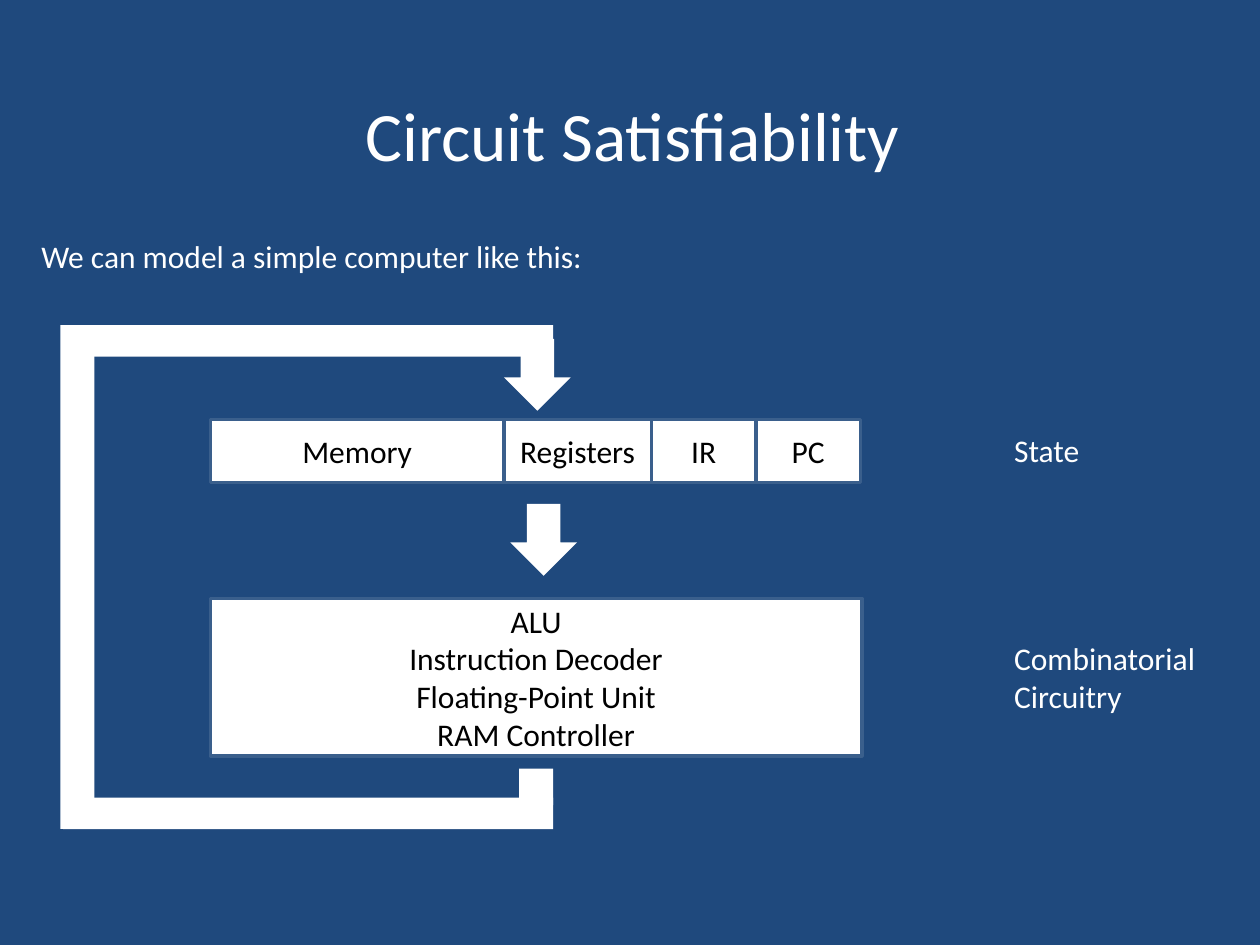
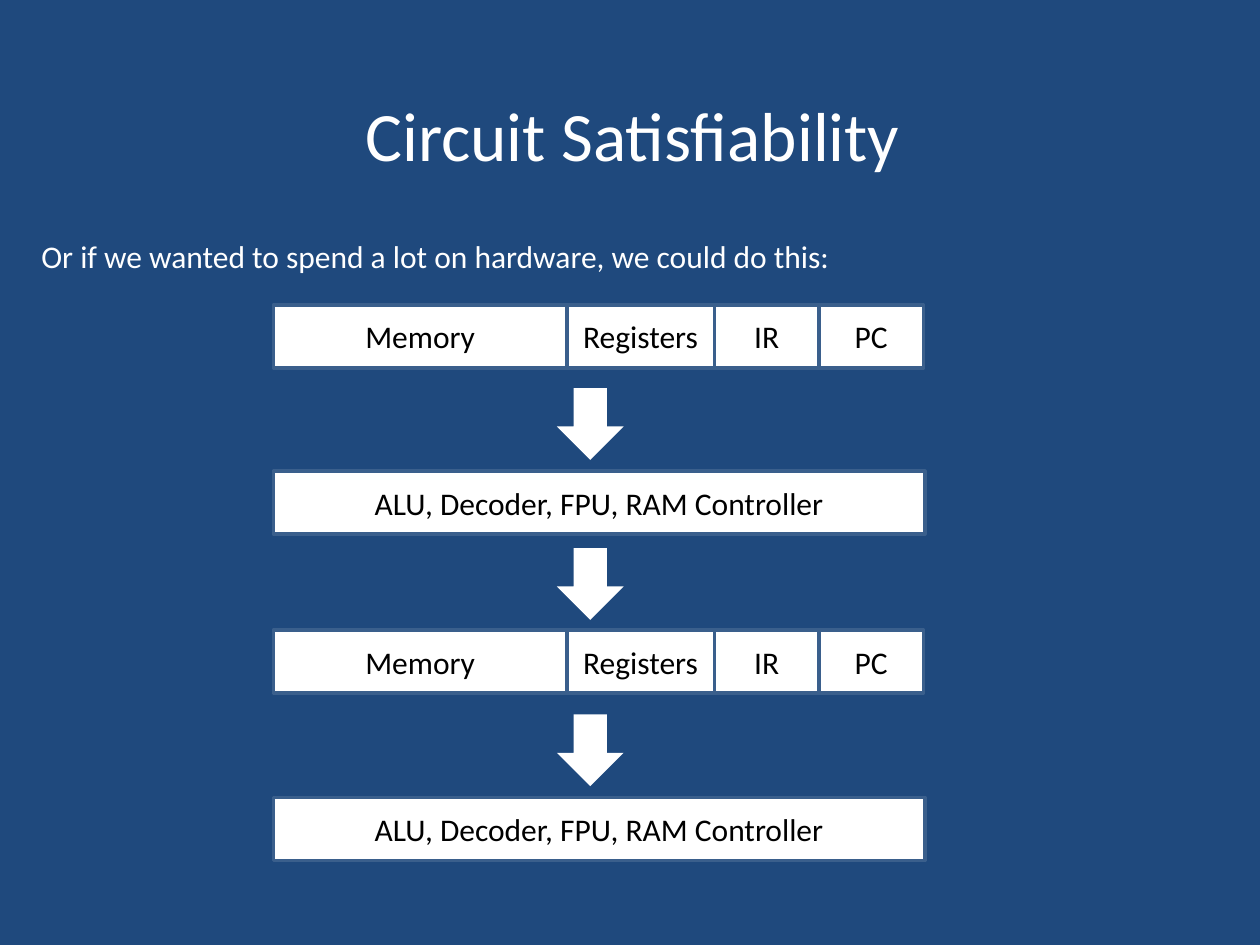
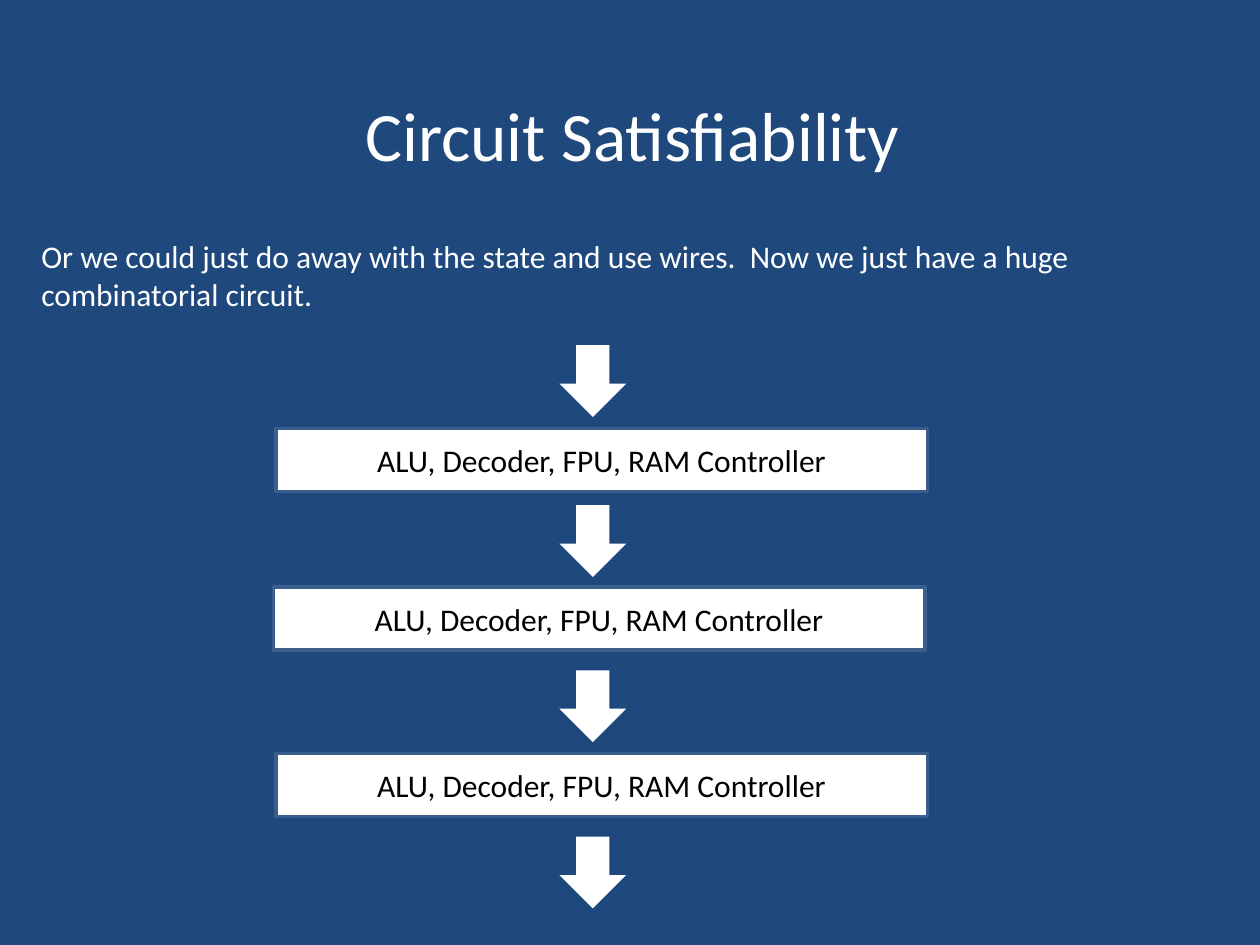
from pptx import Presentation
from pptx.dml.color import RGBColor
from pptx.enum.shapes import MSO_SHAPE
from pptx.enum.text import MSO_ANCHOR, MSO_AUTO_SIZE, PP_ALIGN
from pptx.util import Inches, Pt

NAVY = RGBColor(0x1F, 0x49, 0x7D)
STEEL = RGBColor(0x3A, 0x5F, 0x8C)
WHITE = RGBColor(0xFF, 0xFF, 0xFF)
BLACK = RGBColor(0x00, 0x00, 0x00)

RECT = MSO_SHAPE.RECTANGLE
DOWN_ARROW = MSO_SHAPE.DOWN_ARROW
MIDDLE = MSO_ANCHOR.MIDDLE
CENTER = PP_ALIGN.CENTER
LEFT = PP_ALIGN.LEFT
FIT_SHAPE = MSO_AUTO_SIZE.SHAPE_TO_FIT_TEXT

FONT = "Calibri"
TITLE = "Circuit Satisfiability"
LOGIC = "ALU, Decoder, FPU, RAM Controller"
LOGIC_PARTS = "ALU\nInstruction Decoder\nFloating-Point Unit\nRAM Controller"
STATE = [("Memory", 2.33), ("Registers", 1.17), ("IR", 0.83), ("PC", 0.83)]
LOGIC_W = 5.17
BOX_H = 0.5


def place(sp, x, y, w, h):
    sp.left, sp.top = Inches(x), Inches(y)
    sp.width, sp.height = Inches(w), Inches(h)


def write(tf, text, size, color, align):
    tf.text = text
    for p in tf.paragraphs:
        p.alignment = align
        for r in p.runs:
            r.font.name = FONT
            r.font.size = Pt(size)
            r.font.color.rgb = color


def add_slide(prs, intro, intro_h=0.4):
    s = prs.slides.add_slide(prs.slide_layouts[5])
    title = s.shapes.title
    place(title, 0.52, 0.67, 9, 0.78)
    title.text_frame.vertical_anchor = MIDDLE
    write(title.text_frame, TITLE, 39.6, WHITE, CENTER)
    add_label(s, intro, 0.23, 1.83, 9.58, intro_h, True)
    return s


def add_label(s, text, x, y, w, h, wrap=False):
    sp = s.shapes.add_textbox(Inches(x), Inches(y), Inches(w), Inches(h))
    tf = sp.text_frame
    tf.word_wrap = wrap
    tf.auto_size = FIT_SHAPE
    write(tf, text, 18, WHITE, LEFT)


def add_solid(s, kind, x, y, w, h):
    sp = s.shapes.add_shape(kind, Inches(x), Inches(y), Inches(w), Inches(h))
    sp.shadow.inherit = False
    sp.fill.solid()
    sp.fill.fore_color.rgb = WHITE
    sp.line.fill.background()
    return sp


def add_box(s, text, x, y, w, h=BOX_H):
    sp = add_solid(s, RECT, x, y, w, h)
    sp.line.color.rgb = STEEL
    sp.line.width = Pt(2)
    sp.text_frame.vertical_anchor = MIDDLE
    write(sp.text_frame, text, 18, BLACK, CENTER)


def add_state(s, x, y):
    for name, w in STATE:
        add_box(s, name, x, y, w)
        x += w


def add_arrow(s, x, y):
    add_solid(s, DOWN_ARROW, x, y, 0.53, 0.57)


def add_feedback_loop(s):
    add_arrow(s, 4, 2.69)
    for y in (2.58, 6.33):
        add_solid(s, RECT, 0.5, y, 3.89, 0.25)
    add_solid(s, RECT, 0.48, 2.58, 0.27, 4)
    add_solid(s, RECT, 4.12, 6.1, 0.27, 0.29)


def simple_computer(prs):
    s = add_slide(prs, "We can model a simple computer like this:")
    add_state(s, 1.67, 3.33)
    add_label(s, "State", 7.95, 3.37, 0.72, 0.4)
    add_box(s, LOGIC_PARTS, 1.67, 4.75, LOGIC_W, 1.25)
    add_label(s, "Combinatorial\vCircuitry", 7.95, 5.02, 1.65, 0.71)
    add_arrow(s, 4.05, 4)
    add_feedback_loop(s)


def unrolled_computer(prs):
    s = add_slide(prs, "Or if we wanted to spend a lot on hardware, "
                       "we could do this:")
    for y in (2.42, 5):
        add_state(s, 2.17, y)
    for y in (3.74, 6.33):
        add_box(s, LOGIC, 2.17, y, LOGIC_W)
    for y in (3.08, 4.35, 5.67):
        add_arrow(s, 4.42, y)


def combinatorial_circuit(prs):
    s = add_slide(prs, "Or we could just do away with the state and use wires.  "
                       "Now we just have a huge combinatorial circuit.", 0.71)
    for x, y in ((2.19, 3.4), (2.17, 4.66), (2.19, 5.98)):
        add_box(s, LOGIC, x, y, LOGIC_W)
    for y in (2.74, 4.01, 5.32, 6.64):
        add_arrow(s, 4.44, y)


def main():
    prs = Presentation()
    prs.slide_width, prs.slide_height = Inches(10), Inches(7.5)
    background = prs.slide_master.background.fill
    background.solid()
    background.fore_color.rgb = NAVY
    simple_computer(prs)
    unrolled_computer(prs)
    combinatorial_circuit(prs)
    prs.save("out.pptx")


main()
